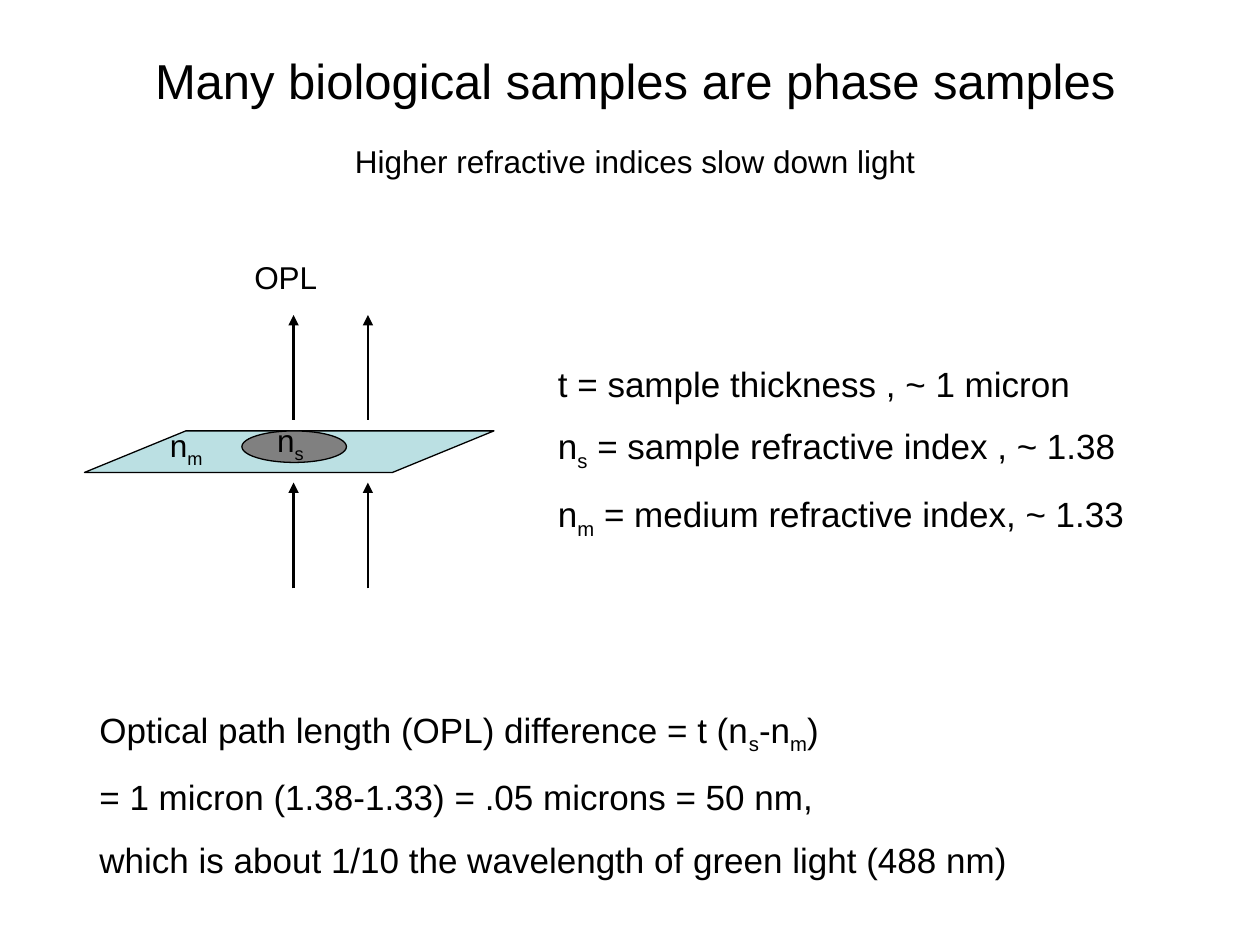
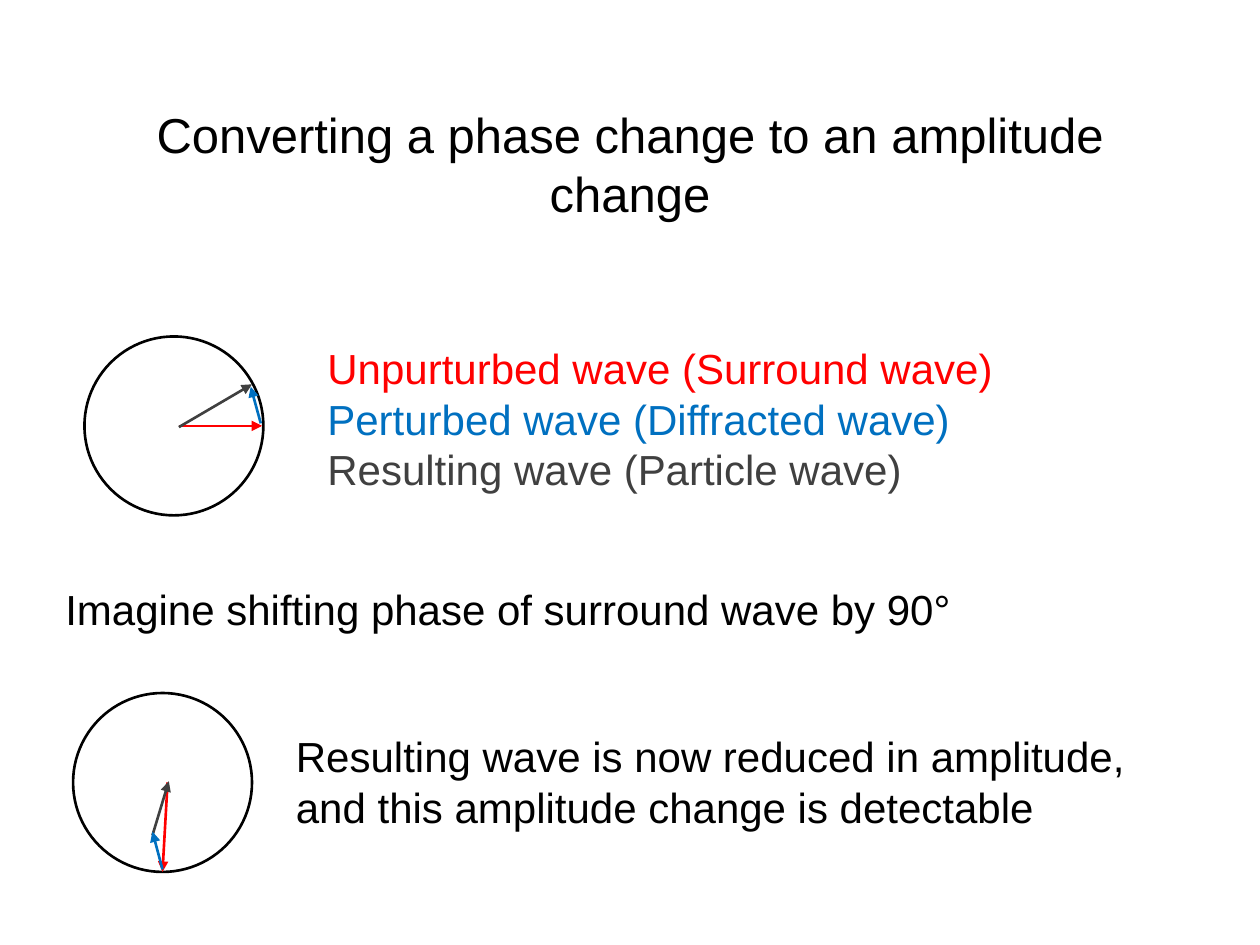
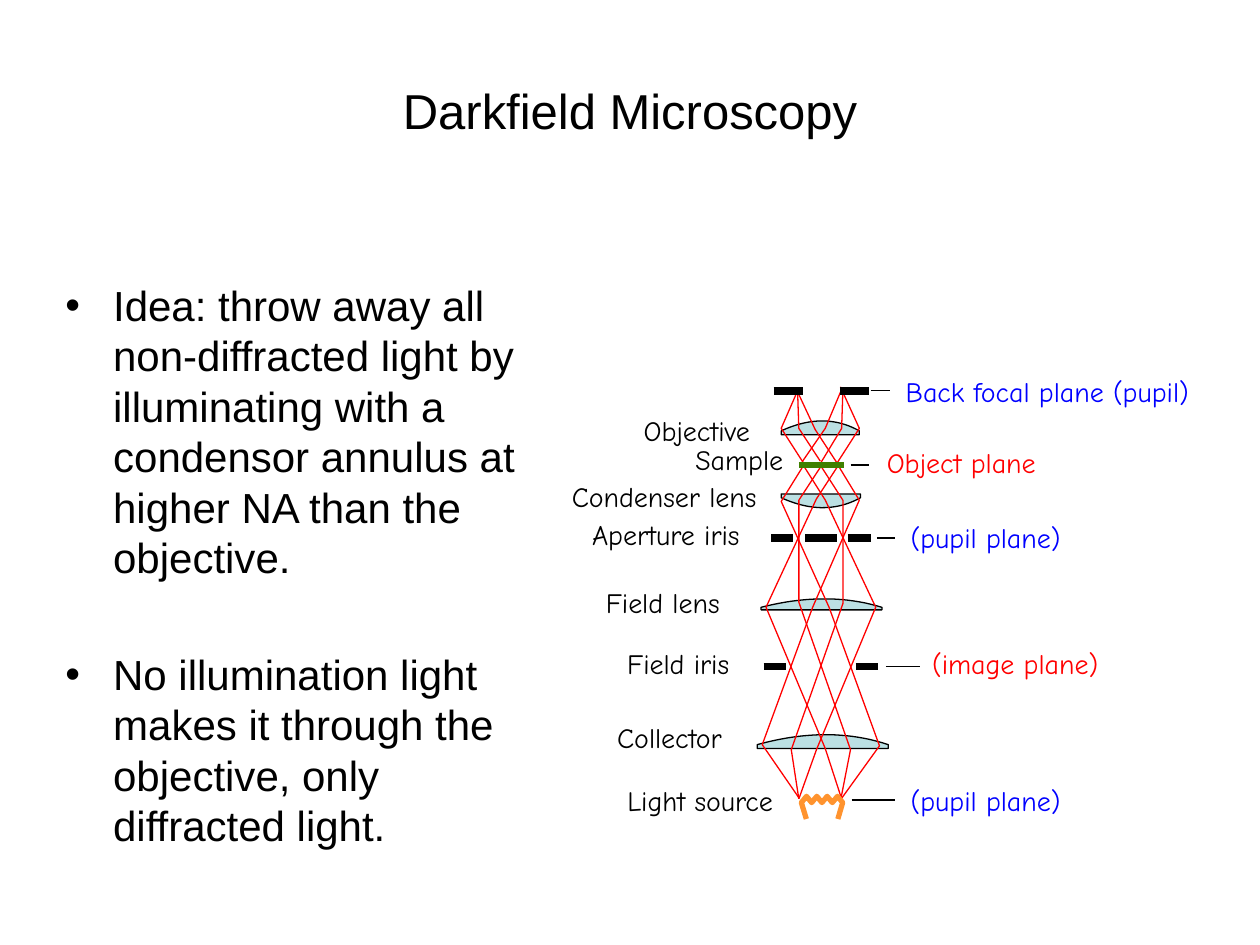
from lxml import etree
from pptx import Presentation
from pptx.dml.color import RGBColor
from pptx.enum import shapes as sh, text as tx
from pptx.oxml import ns
from pptx.util import Inches, Pt

HUES = {
    "black": "000000", "red": "FF0000", "sky": "0070C0", "slate": "404040",
    "blue": "0000FF", "glass": "BBE0E3", "gray": "808080",
    "green": "408000", "amber": "FF932E",
}
SANS, HAND = "Arial", "Comic Neue"


def hue(name):
    return RGBColor.from_string(HUES[name])


def sub(node, tag, **attrs):
    return etree.SubElement(node, ns.qn(tag), attrs)


# Text

def write(slide, box, lines, size=24, color="black", font=SANS, align=None,
          wrap=True, grow=True, gap=0, bullet=False, middle=False):
    """Add a text box; parts between bars in a line are set as subscripts."""
    frame = slide.shapes.add_textbox(*map(Inches, box)).text_frame
    frame.word_wrap = wrap
    if grow:
        frame.auto_size = tx.MSO_AUTO_SIZE.SHAPE_TO_FIT_TEXT
    if middle:
        frame.vertical_anchor = tx.MSO_ANCHOR.MIDDLE
    hues = color if isinstance(color, list) else [color] * len(lines)
    for i, (line, tint) in enumerate(zip(lines, hues)):
        para = frame.paragraphs[0] if i == 0 else frame.add_paragraph()
        if bullet:
            props = para._p.get_or_add_pPr()
            props.set("marL", str(Inches(0.38)))
            props.set("indent", str(-Inches(0.38)))
            sub(props, "a:buFont", typeface=SANS)
            sub(props, "a:buChar", char="•")
        para.alignment = align
        if gap and i:
            para.space_before = Pt(gap)
        for j, part in enumerate(line.split("|")):
            if not part:
                continue
            run = para.add_run()
            run.text = part
            run.font.size, run.font.name = Pt(size), font
            run.font.color.rgb = hue(tint)
            if j % 2:
                run._r.get_or_add_rPr().set("baseline", "-25000")


def title(slide, words, top):
    write(slide, (0.75, top, 8.5, 1.25), [words], 28, grow=False,
          align=tx.PP_ALIGN.CENTER, middle=True)


def label(slide, left, top, width, words, color="black"):
    write(slide, (left, top, width, 0.38), [words], 16, color, HAND, wrap=False)


# Shapes and lines

def paint(shape, fill, line="black", width=0.75):
    shape.shadow.inherit = False
    if fill:
        shape.fill.solid()
        shape.fill.fore_color.rgb = hue(fill)
    else:
        shape.fill.background()
    shape.line.color.rgb = hue(line)
    shape.line.width = Pt(width)


def preset(slide, kind, box, fill=None, width=0.75):
    shape = slide.shapes.add_shape(kind, *map(Inches, box))
    paint(shape, fill, width=width)
    return shape


def rule(slide, start, end, color="black", width=0.75, arrow=False):
    link = slide.shapes.add_connector(
        sh.MSO_CONNECTOR.STRAIGHT, *map(Inches, (*start, *end)))
    link.line.color.rgb = hue(color)
    link.line.width = Pt(width)
    props = link._element.spPr
    if arrow:
        sub(props.find(ns.qn("a:ln")), "a:tailEnd", type="triangle")
    sub(props, "a:effectLst")


def trace(slide, points, fill=None, line="red", width=0.75):
    first, *rest = [(Inches(x), Inches(y)) for x, y in points]
    pen = slide.shapes.build_freeform(*first)
    pen.add_line_segments(rest, close=bool(fill))
    paint(pen.convert_to_shape(), fill, line, width)


def lens(slide, left, right, flat, edge, sag):
    """Draw a lens with one flat face and one face curved towards sag."""
    span = right - left
    knots = [(right, edge), (right - 0.37 * span, edge + sag),
             (right - 0.73 * span, edge + 0.6 * sag), (left, edge)]
    steps = 24
    arc = []
    for i in range(steps + 1):
        t = i / steps
        mix = ((1 - t) ** 3, 3 * t * (1 - t) ** 2, 3 * t * t * (1 - t), t ** 3)
        arc.append(tuple(sum(m * k[a] for m, k in zip(mix, knots))
                         for a in (0, 1)))
    trace(slide, [(left, flat), (right, flat)] + arc, "glass", "black")


def wave(slide, left, top, arrows):
    """Draw a phase circle with its surround, particle and diffracted waves."""
    preset(slide, sh.MSO_SHAPE.OVAL, (left, top, 1.42, 1.42), width=1.5)
    for color, (start, end) in zip(("red", "slate", "sky"), arrows):
        rule(slide, start, end, color, 1.5, True)


# Slides

def phase(slide):
    write(slide, (0.69, 5.57, 8.89, 1.43), [
        "Optical path length (OPL) difference = t (n|s|-n|m|)",
        "= 1 micron (1.38-1.33) = .05 microns = 50 nm,",
        "which is about 1/10 the wavelength of green light (488 nm)",
    ], 20, gap=11.5)
    write(slide, (4.33, 2.83, 5.5, 1.43), [
        "t = sample thickness , ~ 1 micron",
        "n|s| = sample refractive index , ~ 1.38",
        "n|m| = medium refractive index, ~ 1.33",
    ], 20, gap=11.5)
    mid = tx.PP_ALIGN.CENTER
    write(slide, (1.08, 0.35, 7.92, 0.57),
          ["Many biological samples are phase samples"], 28, align=mid, wrap=False)

    # Sample in its medium, with light passing through
    plate = preset(slide, sh.MSO_SHAPE.PARALLELOGRAM,
                   (0.67, 3.42, 3.25, 0.33), "glass")
    plate.adjustments[0] = 2.44
    preset(slide, sh.MSO_SHAPE.OVAL, (1.92, 3.42, 0.83, 0.25), "gray")
    for x in (2.33, 2.92):
        for low, high in ((4.67, 3.83), (3.33, 2.5)):
            rule(slide, (x, low), (x, high), width=1.5, arrow=True)
    write(slide, (1.92, 2, 0.83, 0.4), ["OPL"], 18)
    write(slide, (2.1, 3.29, 0.42, 0.4), ["n|s|"], 18, wrap=False)
    write(slide, (1.25, 3.33, 0.48, 0.4), ["n|m|"], 18, wrap=False)
    write(slide, (2.33, 1.08, 5.42, 0.4),
          ["Higher refractive indices slow down light"], 18, align=mid)


def shift(slide):
    title(slide, "Converting a phase change to an amplitude change", 0.67)
    wave(slide, 0.67, 2.67, [((1.42, 3.38), (2.08, 3.38)),
                             ((1.42, 3.39), (2, 3.05)),
                             ((2.07, 3.36), (1.99, 3.07))])
    write(slide, (2.5, 2.67, 7, 1.72), [
        "Unpurturbed wave (Surround wave)",
        "Perturbed wave (Diffracted wave)",
        "Resulting wave (Particle wave)",
    ], color=["red", "sky", "slate"])
    write(slide, (0.42, 4.58, 9.33, 0.5),
          ["Imagine shifting phase of surround wave by 90°"])
    wave(slide, 0.58, 5.5, [((1.33, 6.21), (1.29, 6.92)),
                            ((1.21, 6.63), (1.34, 6.2)),
                            ((1.29, 6.9), (1.21, 6.6))])
    write(slide, (2.25, 5.75, 7.25, 0.91),
          ["Resulting wave is now reduced in amplitude, "
           "and this amplitude change is detectable"])


def darkfield(slide):
    title(slide, "Darkfield Microscopy", 0.25)
    write(slide, (0.42, 2.17, 3.83, 5), [
        "Idea: throw away all non-diffracted light by illuminating with "
        "a condensor annulus at higher NA than the objective.",
        "No illumination light makes it through the objective, "
        "only diffracted light.",
    ], grow=False, gap=38, bullet=True)

    # Lenses: objective, condenser, field, collector
    for spec_row in ((6.2, 6.82, 3.45, 3.42, -0.13),
                     (6.2, 6.83, 3.92, 3.95, 0.13),
                     (6.04, 7, 4.84, 4.82, -0.11),
                     (6.01, 7.05, 5.94, 5.91, -0.13)):
        lens(slide, *spec_row)

    # Rays above the sample, then rays from the source up to it
    rays = [
        [(6.51, 3.66), (6.34, 3.4), (6.33, 3.1)],
        [(6.51, 3.68), (6.68, 3.4), (6.69, 3.09)],
        [(6.64, 3.67), (6.47, 3.41), (6.33, 3.11)],
        [(6.64, 3.68), (6.82, 3.4), (6.67, 3.07)],
        [(6.37, 3.66), (6.55, 3.4), (6.68, 3.09)],
        [(6.38, 3.68), (6.2, 3.4), (6.34, 3.08)],
        [(6.51, 3.71), (6.34, 3.97), (6.34, 4.78), (6.75, 5.95), (6.67, 6.36)],
        [(6.51, 3.69), (6.69, 3.97), (6.69, 4.79), (6.28, 5.95), (6.34, 6.34)],
        [(6.65, 3.7), (6.48, 3.96), (6.08, 4.82), (6.55, 5.94), (6.68, 6.34)],
        [(6.65, 3.69), (6.82, 3.97), (6.45, 4.82), (6.05, 5.91), (6.34, 6.33)],
        [(6.38, 3.7), (6.55, 3.97), (6.95, 4.82), (6.48, 5.95), (6.34, 6.34)],
        [(6.38, 3.69), (6.2, 3.98), (6.58, 4.82), (6.98, 5.92), (6.67, 6.35)],
    ]
    for ray in rays:
        trace(slide, ray)

    # Stops, sample and lamp
    for y, *ends in ((3.1, 6.14, 6.37), (3.1, 6.67, 6.9),
                     (4.27, 6.12, 6.29), (4.27, 6.39, 6.64),
                     (4.27, 6.73, 6.91),
                     (5.29, 6.06, 6.24), (5.29, 6.79, 6.97)):
        rule(slide, (ends[0], y), (ends[1], y), width=4.5)
    rule(slide, (6.34, 3.69), (6.7, 3.69), "green", 3)
    coil = [(6.36 + 0.041 * i, 6.32 if i % 2 else 6.37) for i in range(9)]
    trace(slide, [(6.4, 6.5)] + coil + [(6.65, 6.5)], line="amber", width=3)

    # Names of the parts
    for left, top, width, words in (
            (5.01, 3.23, 1.18, "Objective"), (5.42, 3.46, 0.91, "Sample"),
            (4.44, 3.76, 1.69, "Condenser lens"),
            (4.6, 4.06, 1.51, "Aperture iris"),
            (4.71, 4.6, 1.15, "Field lens"), (4.88, 5.08, 1.06, "Field iris"),
            (4.8, 5.67, 1.1, "Collector"), (4.88, 6.17, 1.45, "Light source")):
        label(slide, left, top, width, words)

    # Names of the planes, each with its tick
    for start, end, y, left, top, width, words, color in (
            (6.91, 7.06, 3.1, 7.09, 2.92, 2.6, "Back focal plane (pupil)", "blue"),
            (6.75, 6.9, 3.69, 6.94, 3.49, 1.53, "Object plane", "red"),
            (6.96, 7.1, 4.27, 7.13, 4.08, 1.44, "(pupil plane)", "blue"),
            (7.03, 7.3, 5.29, 7.3, 5.08, 1.54, "(image plane)", "red"),
            (6.76, 7.1, 6.35, 7.13, 6.17, 1.44, "(pupil plane)", "blue")):
        rule(slide, (start, y), (end, y))
        label(slide, left, top, width, words, color)


def main():
    deck = Presentation()
    deck.slide_width, deck.slide_height = Inches(10), Inches(7.5)
    for build in (phase, shift, darkfield):
        build(deck.slides.add_slide(deck.slide_layouts[6]))
    deck.save("out.pptx")


if __name__ == "__main__":
    main()
